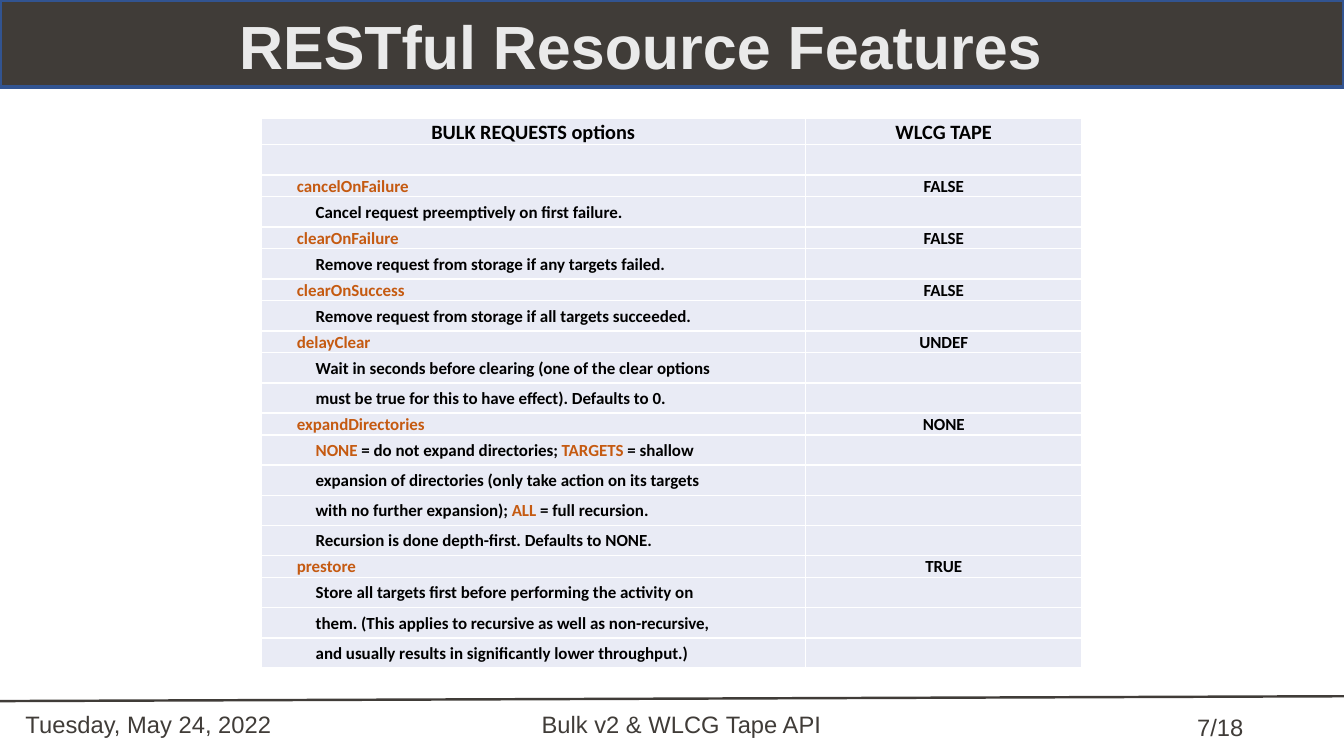
from dataclasses import dataclass

from lxml.etree import SubElement
from pptx import Presentation
from pptx.dml.color import RGBColor
from pptx.enum.shapes import MSO_CONNECTOR as Connector, MSO_SHAPE as Preset
from pptx.enum.text import MSO_ANCHOR as Anchor, PP_ALIGN as Align
from pptx.oxml.ns import qn
from pptx.slide import Slide
from pptx.table import _Cell as Cell
from pptx.text.text import Font
from pptx.util import Inches, Length, Pt

COLORS = {
    "band": "403C38", "band_edge": "325491", "title": "EAEAEA",
    "cell": "E9EBF5", "border": "FFFFFF", "text": "000000", "option": "C55A11",
}
WIDTH, HEIGHT = Inches(11.02), Inches(6.2)
HEADER_ROW, OPTION_ROW, DETAIL_ROW = 3.4, 2.85, 4
OPTION_INDENT, DETAIL_INDENT = 2.55, 3.95


@dataclass(frozen=True)
class Caption:
    text: str
    left: float
    top: float
    width: float
    height: float
    align: Align = Align.CENTER
    size: int = 14
    color: str = "band"
    bold: bool = False
    anchor: Anchor = Anchor.TOP


@dataclass(frozen=True)
class Option:
    """A request option; stars in the details enclose highlighted words."""
    name: str
    tape_value: str
    details: tuple[str, ...]


CAPTIONS = (
    Caption("RESTful Resource Features", 5.08, 1.13, 85.2, 9.68,
            size=36, color="title", bold=True, anchor=Anchor.MIDDLE),
    Caption("Tuesday, May 24, 2022", 1.9, 93.87, 23.3, 6, Align.LEFT),
    Caption("Bulk v2 & WLCG Tape API", 34.85, 93.87, 31.7, 6),
    Caption("7/18", 82.1, 94.35, 17.4, 4.5),
)
OPTIONS = (
    Option("cancelOnFailure", "FALSE",
           ("Cancel request preemptively on first failure.",)),
    Option("clearOnFailure", "FALSE",
           ("Remove request from storage if any targets failed.",)),
    Option("clearOnSuccess", "FALSE",
           ("Remove request from storage if all targets succeeded.",)),
    Option("delayClear", "UNDEF",
           ("Wait in seconds before clearing (one of the clear options",
            "must be true for this to have effect). Defaults to 0.")),
    Option("expandDirectories", "NONE",
           ("*NONE* = do not expand directories; *TARGETS* = shallow",
            "expansion of directories (only take action on its targets",
            "with no further expansion); *ALL* = full recursion.",
            "Recursion is done depth-first. Defaults to NONE.")),
    Option("prestore", "TRUE",
           ("Store all targets first before performing the activity on",
            "them. (This applies to recursive as well as non-recursive,",
            "and usually results in significantly lower throughput.)")),
)


@dataclass(frozen=True)
class Row:
    height: float
    label: str = ""
    value: str = ""
    indent: float = 0
    size: int = 10
    align: Align = Align.LEFT
    anchor: Anchor = Anchor.MIDDLE


def across(percent: float) -> Length:
    return Length(round(WIDTH * percent / 100))


def down(percent: float) -> Length:
    return Length(round(HEIGHT * percent / 100))


def rgb(name: str) -> RGBColor:
    return RGBColor.from_string(COLORS[name])


def style(font: Font, face: str, size: int, bold: bool) -> None:
    font.name, font.size, font.bold = face, Pt(size), bold


def add_frame(slide: Slide) -> None:
    """Draw the title band and the slightly sloping footer rule."""
    band = slide.shapes.add_shape(Preset.RECTANGLE, 0, 0, WIDTH, down(11.5))
    band.shadow.inherit = False
    band.fill.solid()
    band.fill.fore_color.rgb = rgb("band")
    band.line.color.rgb = rgb("band_edge")
    band.line.width = Pt(2)

    rule = slide.shapes.add_connector(
        Connector.STRAIGHT, WIDTH, down(92.1), 0, down(92.74))
    rule.line.color.rgb = rgb("band")
    rule.line.width = Pt(1.45)
    SubElement(rule._element.spPr, qn("a:effectLst"))


def add_caption(slide: Slide, caption: Caption) -> None:
    frame = slide.shapes.add_textbox(
        across(caption.left), down(caption.top),
        across(caption.width), down(caption.height)).text_frame
    frame.word_wrap = True
    frame.vertical_anchor = caption.anchor
    frame.margin_left = frame.margin_right = 0
    frame.margin_top = frame.margin_bottom = 0
    paragraph = frame.paragraphs[0]
    paragraph.text = caption.text
    paragraph.alignment = caption.align
    style(paragraph.font, "Arial", caption.size, caption.bold)
    paragraph.font.color.rgb = rgb(caption.color)


def add_borders(cell: Cell) -> None:
    properties = cell._tc.get_or_add_tcPr()
    for position, side in enumerate(("lnL", "lnR", "lnT", "lnB")):
        edge = SubElement(properties, qn(f"a:{side}"), w=str(Pt(1)))
        fill = SubElement(edge, qn("a:solidFill"))
        SubElement(fill, qn("a:srgbClr"), val=COLORS["border"])
        properties.insert(position, edge)


def fill_cell(cell: Cell, text: str, row: Row, align: Align,
              indent: float = 0) -> None:
    cell.fill.solid()
    cell.fill.fore_color.rgb = rgb("cell")
    add_borders(cell)
    cell.margin_left = Inches(0.01) + across(indent)
    cell.margin_right = cell.margin_top = Inches(0.01)
    cell.margin_bottom = 0
    cell.vertical_anchor = row.anchor
    paragraph = cell.text_frame.paragraphs[0]
    paragraph.alignment = align
    style(paragraph.font, "Calibri", row.size, True)
    for index, part in enumerate(text.split("*")):
        if part:
            run = paragraph.add_run()
            run.text = part
            run.font.color.rgb = rgb("option" if index % 2 else "text")


def table_rows() -> list[Row]:
    rows = [Row(HEADER_ROW, "BULK REQUESTS options", "WLCG TAPE", size=12,
                align=Align.CENTER, anchor=Anchor.TOP),
            Row(DETAIL_ROW)]
    for option in OPTIONS:
        rows.append(Row(OPTION_ROW, f"*{option.name}*", option.tape_value,
                        OPTION_INDENT))
        rows += [Row(DETAIL_ROW, detail, indent=DETAIL_INDENT)
                 for detail in option.details]
    return rows


def add_options_table(slide: Slide) -> None:
    rows = table_rows()
    widths = (40.47, 20.6)
    table = slide.shapes.add_table(
        len(rows), len(widths), across(19.45), down(15.7),
        across(sum(widths)), down(sum(row.height for row in rows))).table
    for column, width in zip(table.columns, widths):
        column.width = across(width)
    for index, row in enumerate(rows):
        table.rows[index].height = down(row.height)
        fill_cell(table.cell(index, 0), row.label, row, row.align, row.indent)
        fill_cell(table.cell(index, 1), row.value, row, Align.CENTER)


def main() -> None:
    deck = Presentation()
    deck.slide_width, deck.slide_height = WIDTH, HEIGHT
    slide = deck.slides.add_slide(deck.slide_layouts[6])
    add_frame(slide)
    add_options_table(slide)
    for caption in CAPTIONS:
        add_caption(slide, caption)
    deck.save("out.pptx")


if __name__ == "__main__":
    main()
